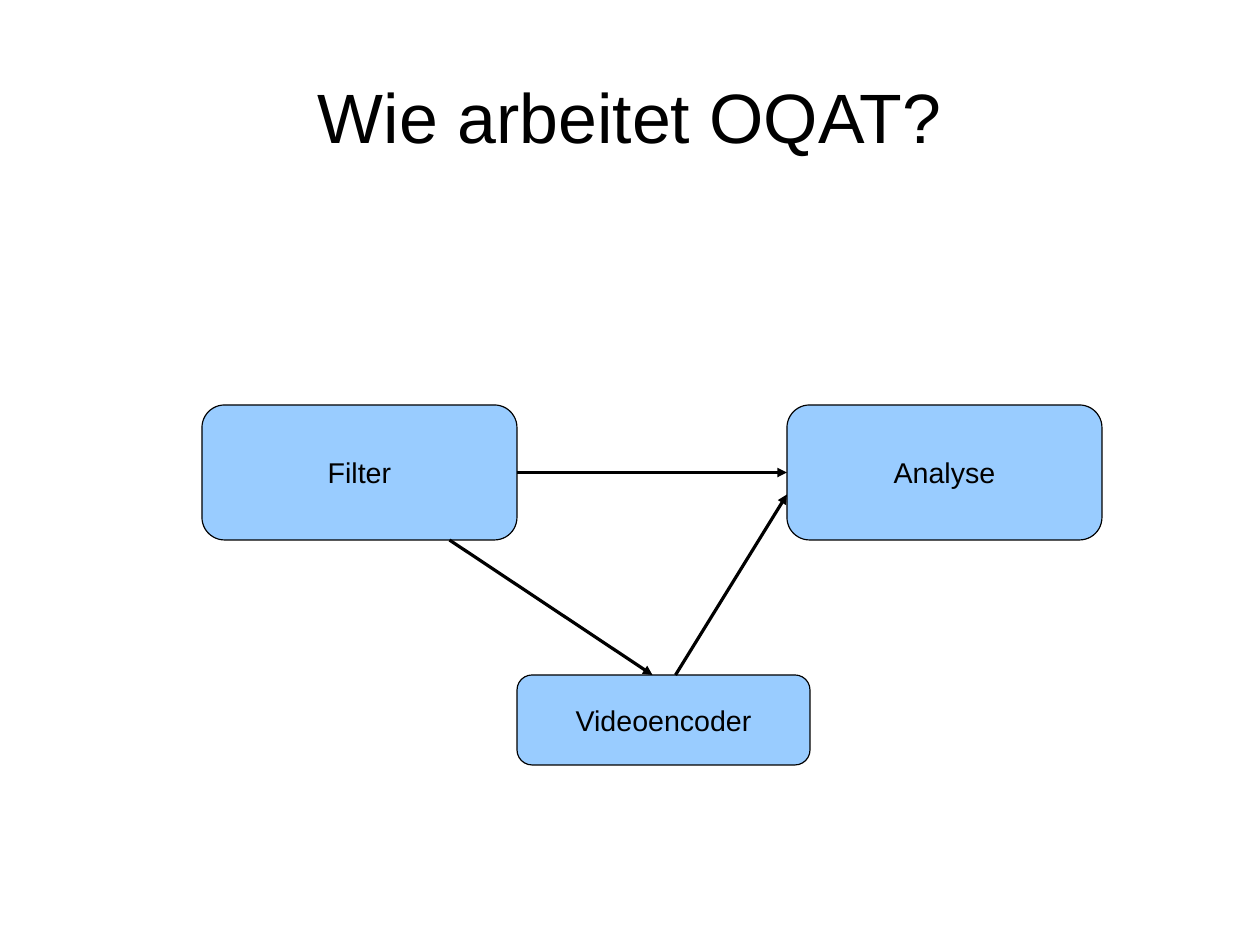
from dataclasses import dataclass

from pptx import Presentation
from pptx.dml.color import RGBColor
from pptx.enum.shapes import MSO_CONNECTOR, MSO_SHAPE
from pptx.enum.text import MSO_ANCHOR, PP_ALIGN
from pptx.oxml.ns import qn
from pptx.util import Pt
from lxml.etree import SubElement

TITLE = "Wie arbeitet OQAT?"
TITLE_FRAME = (63, 43, 1134, 146)
STEPS = {
    "Filter": (202, 405, 315, 135),
    "Analyse": (787, 405, 315, 135),
    "Videoencoder": (517, 675, 293, 90),
}
TOP, LEFT, BOTTOM, RIGHT = range(4)
ARROWS = [
    (("Filter", BOTTOM, 90), ("Videoencoder", TOP, -11)),
    (("Filter", RIGHT, 0), ("Analyse", LEFT, 0)),
    (("Videoencoder", TOP, 12), ("Analyse", LEFT, 22)),
]


@dataclass(frozen=True)
class Theme:
    font: str = "Arial"
    ink: RGBColor = RGBColor(0, 0, 0)
    step_fill: RGBColor = RGBColor(0x99, 0xCC, 0xFF)
    title_size: int = 44
    step_size: int = 18
    line_width: int = 0
    corner: float = 0.167


THEME = Theme()
SCALE = 8000
PAGE_SIZE = (1260, 945)


def px(*lengths):
    return [round(length * SCALE) for length in lengths]


def write(shape, text, size, margins, wrap):
    frame = shape.text_frame
    horizontal, vertical = px(*margins)
    settings = {
        "margin_left": horizontal, "margin_right": horizontal,
        "margin_top": vertical, "margin_bottom": vertical,
        "vertical_anchor": MSO_ANCHOR.MIDDLE, "word_wrap": wrap,
    }
    for name, value in settings.items():
        setattr(frame, name, value)
    para = frame.paragraphs[0]
    para.alignment = PP_ALIGN.CENTER
    span = para.add_run()
    span.text = text
    for name, value in {"name": THEME.font, "size": Pt(size), "bold": False}.items():
        setattr(span.font, name, value)
    span.font.color.rgb = THEME.ink


def outline(shape):
    shape.line.color.rgb = THEME.ink
    shape.line.width = Pt(THEME.line_width)


def add_step(page, name, frame):
    box = page.shapes.add_shape(MSO_SHAPE.ROUNDED_RECTANGLE, *px(*frame))
    box.adjustments[0] = THEME.corner
    box.shadow.inherit = False
    box.fill.solid()
    box.fill.fore_color.rgb = THEME.step_fill
    outline(box)
    write(box, name, THEME.step_size, (11, 6), False)
    return box


def side_point(name, side, offset):
    left, top, width, height = STEPS[name]
    if side in (TOP, BOTTOM):
        return left + width / 2 + offset, top + height * (side == BOTTOM)
    return left + width * (side == RIGHT), top + height / 2 + offset


def add_arrow(page, boxes, start, end):
    points = px(*side_point(*start), *side_point(*end))
    arrow = page.shapes.add_connector(MSO_CONNECTOR.STRAIGHT, *points)
    for connect, (name, side, offset) in ((arrow.begin_connect, start), (arrow.end_connect, end)):
        if offset == 0:
            connect(boxes[name], side)
    outline(arrow)
    SubElement(arrow.line._get_or_add_ln(), qn("a:tailEnd"), type="triangle")
    SubElement(arrow._element.spPr, qn("a:effectLst"))


def main():
    deck = Presentation()
    deck.slide_width, deck.slide_height = px(*PAGE_SIZE)
    page = deck.slides.add_slide(deck.slide_layouts[5])
    title = page.shapes.title
    title.left, title.top, title.width, title.height = px(*TITLE_FRAME)
    write(title, TITLE, THEME.title_size, (0, 0), True)
    boxes = {name: add_step(page, name, frame) for name, frame in STEPS.items()}
    for start, end in ARROWS:
        add_arrow(page, boxes, start, end)
    deck.save("out.pptx")


if __name__ == "__main__":
    main()
